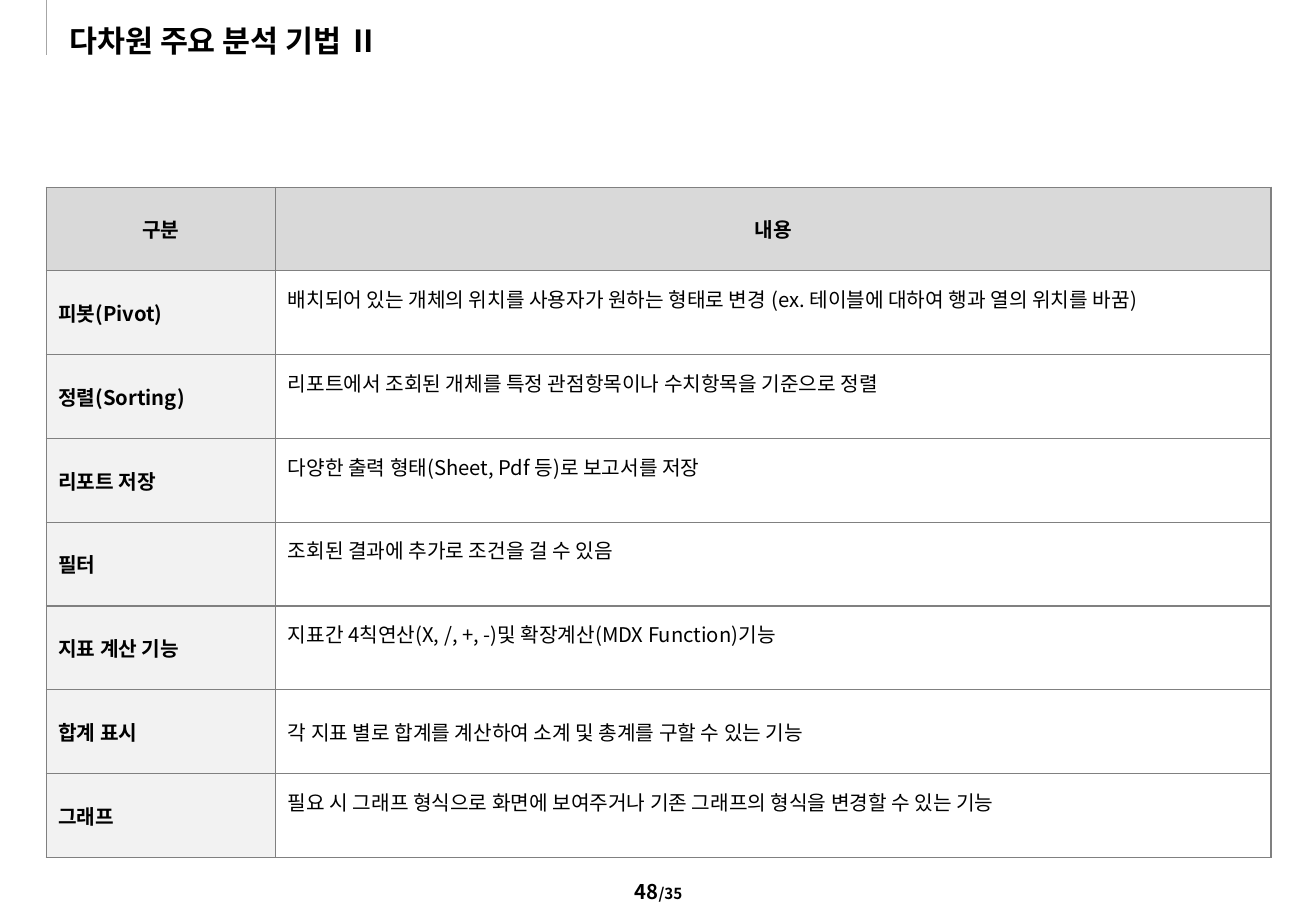
from dataclasses import dataclass

from lxml import etree
from pptx import Presentation
from pptx.dml.color import RGBColor
from pptx.enum.shapes import MSO_CONNECTOR
from pptx.enum.text import MSO_ANCHOR, PP_ALIGN
from pptx.oxml.ns import qn
from pptx.util import Emu, Pt

LINE = MSO_CONNECTOR.STRAIGHT
MIDDLE = MSO_ANCHOR.MIDDLE
TOP = MSO_ANCHOR.TOP
LEFT = PP_ALIGN.LEFT
CENTER = PP_ALIGN.CENTER

PX = 9144  # 100 px to the inch
FONT = "Noto Sans CJK KR"
COLORS = {
    "text": "000000",
    "rule": "A6A6A6",
    "border": "808080",
    "head": "D9D9D9",
    "label": "F2F2F2",
    "body": "FFFFFF",
}
COLS = (189, 819)
ROW = 69
PAD = 5
LIFT = 28  # bottom margin that raises the text of a cell


@dataclass(frozen=True)
class Row:
    label: str
    body: str
    low: int = LIFT


HEAD = Row("구분", "내용", PAD)
ROWS = [
    Row("피봇(Pivot)",
        "배치되어 있는 개체의 위치를 사용자가 원하는 형태로 변경 "
        "(ex. 테이블에 대하여 행과 열의 위치를 바꿈)"),
    Row("정렬(Sorting)",
        "리포트에서 조회된 개체를 특정 관점항목이나 수치항목을 기준으로 정렬"),
    Row("리포트 저장", "다양한 출력 형태(Sheet, Pdf 등)로 보고서를 저장"),
    Row("필터", "조회된 결과에 추가로 조건을 걸 수 있음"),
    Row("지표 계산 기능",
        "지표간 4칙연산(X, /, +, -)및 확장계산(MDX Function)기능"),
    Row("합계 표시",
        "각 지표 별로 합계를 계산하여 소계 및 총계를 구할 수 있는 기능", PAD),
    Row("그래프",
        "필요 시 그래프 형식으로 화면에 보여주거나 "
        "기존 그래프의 형식을 변경할 수 있는 기능"),
]


def px(n: int) -> Emu:
    return Emu(n * PX)


def color(name: str) -> RGBColor:
    return RGBColor.from_string(COLORS[name])


def style(para, size: int, bold: bool = True, align=LEFT) -> None:
    para.alignment = align
    font = para.font
    font.size, font.bold, font.name = Pt(size), bold, FONT
    font.color.rgb = color("text")
    base = para._p.pPr.find(qn("a:defRPr"))
    etree.SubElement(base, qn("a:ea"), typeface=FONT)


def add_box(slide, left: int, top: int, width: int, height: int):
    box = slide.shapes.add_textbox(px(left), px(top), px(width), px(height))
    box.text_frame.word_wrap = True
    return box.text_frame


def add_title(slide) -> None:
    frame = add_box(slide, 57, 18, 745, 30)
    frame.margin_left = frame.margin_right = 0
    frame.margin_top = frame.margin_bottom = 0
    frame.vertical_anchor = MIDDLE
    para = frame.paragraphs[0]
    para.text = "다차원 주요 분석 기법 Ⅱ"
    style(para, 18)


def add_page(slide) -> None:
    frame = add_box(slide, 429, 719, 226, 33)
    frame.vertical_anchor = TOP
    para = frame.paragraphs[0]
    style(para, 12, align=CENTER)
    para.add_run().text = "48"
    total = para.add_run()
    total.text = "/35"
    total.font.size = Pt(9)


def add_rule(slide) -> None:
    rule = slide.shapes.add_connector(LINE, px(38), px(-1), px(38), px(45))
    rule.line.color.rgb = color("rule")
    rule.line.width = Pt(0.5)
    etree.SubElement(rule._element.spPr, qn("a:effectLst"))


def add_edges(cell) -> None:
    props = cell._tc.get_or_add_tcPr()
    for side in ("lnL", "lnR", "lnT", "lnB"):
        edge = etree.SubElement(props, qn(f"a:{side}"), w=str(Pt(0.75)))
        fill = etree.SubElement(edge, qn("a:solidFill"))
        etree.SubElement(fill, qn("a:srgbClr"), val=COLORS["border"])


def fill_cell(cell, text: str, back: str, bold: bool = True,
              align=LEFT, low: int = PAD) -> None:
    add_edges(cell)
    cell.fill.solid()
    cell.fill.fore_color.rgb = color(back)
    cell.vertical_anchor = MIDDLE
    cell.margin_top, cell.margin_bottom = px(PAD), px(low)
    para = cell.text_frame.paragraphs[0]
    para.text = text
    style(para, 12, bold, align)


def add_grid(slide) -> None:
    count = len(ROWS) + 1
    table = slide.shapes.add_table(
        count, len(COLS), px(38), px(154), px(sum(COLS)), px(ROW * count)
    ).table
    for col, width in zip(table.columns, COLS):
        col.width = px(width)
    for row in table.rows:
        row.height = px(ROW)
    for i, text in enumerate((HEAD.label, HEAD.body)):
        fill_cell(table.cell(0, i), text, "head", align=CENTER)
    for i, row in enumerate(ROWS, 1):
        fill_cell(table.cell(i, 0), row.label, "label")
        fill_cell(table.cell(i, 1), row.body, "body", False, low=row.low)


def main() -> None:
    deck = Presentation()
    deck.slide_width, deck.slide_height = px(1083), px(750)
    slide = deck.slides.add_slide(deck.slide_layouts[6])
    add_page(slide)
    add_rule(slide)
    add_title(slide)
    add_grid(slide)
    deck.save("out.pptx")


if __name__ == "__main__":
    main()
